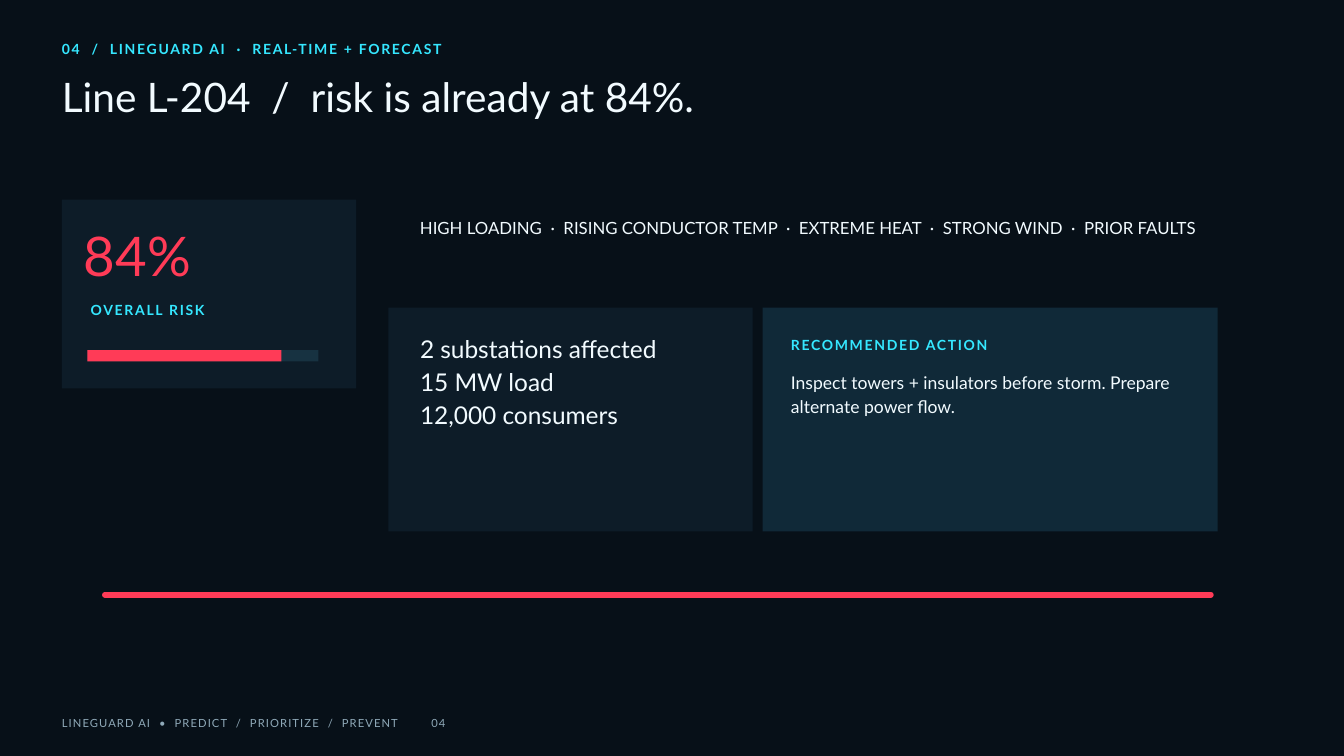
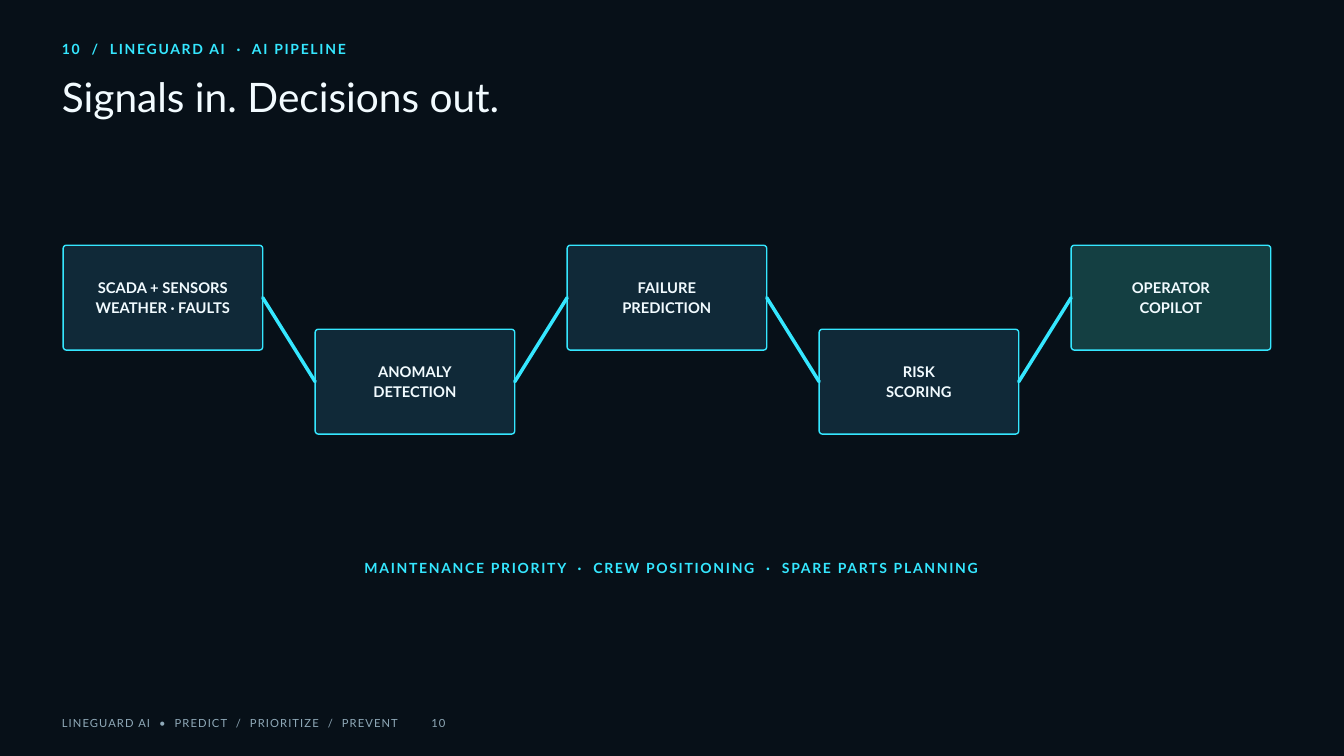
from dataclasses import dataclass

import pptx
import pptx.dml.color
import pptx.enum.shapes
import pptx.enum.text
import pptx.oxml
import pptx.oxml.ns
import pptx.util
from pptx.util import Inches

SHAPE = pptx.enum.shapes.MSO_SHAPE
ALIGN = pptx.enum.text.PP_ALIGN
ANCHOR = pptx.enum.text.MSO_ANCHOR


@dataclass(frozen=True)
class Style:
    """Type style: size and line height in points, tracking in points."""
    size: float
    leading: float
    color: str
    bold: bool = False
    tracking: float = 0


class Theme:
    font = "Lato"
    background, panel, panel_accent = "071018", "0D1C28", "102938"
    track, outcome = "173241", "143F42"
    cyan, red, white, muted = "35E7FF", "FF3B57", "F2FBFF", "8FA9B8"

    label = Style(15, 21, cyan, bold=True, tracking=1.8)
    title = Style(43.5, 46.1, white)
    risk_value = Style(58.5, 58.5, red)
    factors = Style(18, 27, white)
    impact = Style(26.2, 35.4, white)
    action = Style(18.8, 25.3, white)
    step = Style(15.8, 22, white, bold=True)
    footer = Style(12, 16.8, muted, tracking=1.2)


@dataclass(frozen=True)
class Box:
    """Area in inches; inner() gives an area relative to its top left corner."""
    left: float
    top: float
    width: float
    height: float

    def inner(self, left, top, width, height):
        return Box(self.left + left, self.top + top, width, height)

    def lengths(self):
        return [Inches(v) for v in (self.left, self.top, self.width, self.height)]


PRODUCT = "LINEGUARD AI"
MARGIN = 0.92


# Shared helpers
def rgb(value):
    return pptx.dml.color.RGBColor.from_string(value)


def add_paragraph_property(paragraph, xml):
    namespace = pptx.oxml.ns.nsdecls("a")
    element = pptx.oxml.parse_xml(xml.replace("/>", f" {namespace}/>", 1)
                                  if xml.endswith("/>") and xml.count("<") == 1
                                  else xml.replace(">", f" {namespace}>", 1))
    paragraph._p.get_or_add_pPr().append(element)


def write(frame, text, style, align=ALIGN.LEFT, anchor=ANCHOR.TOP, insets=(0, 0, 0, 0)):
    frame.text = text
    frame.word_wrap = True
    frame.auto_size = pptx.enum.text.MSO_AUTO_SIZE.NONE
    frame.vertical_anchor = anchor
    (frame.margin_left, frame.margin_top,
     frame.margin_right, frame.margin_bottom) = [Inches(v) for v in insets]
    for paragraph in frame.paragraphs:
        paragraph.alignment = align
        paragraph.line_spacing = pptx.util.Pt(style.leading)
        paragraph.space_before = pptx.util.Pt(0)
        for run in paragraph.runs:
            run.font.name = Theme.font
            run.font.size = pptx.util.Pt(style.size)
            run.font.bold = style.bold
            run.font.color.rgb = rgb(style.color)
            if style.tracking:
                run._r.get_or_add_rPr().set("spc", str(round(style.tracking * 100)))


def add_text(slide, box, text, style, align=ALIGN.LEFT):
    frame = slide.shapes.add_textbox(*box.lengths()).text_frame
    write(frame, text, style, align)
    return frame


def fill_placeholder(placeholder, box, text, style):
    (placeholder.left, placeholder.top,
     placeholder.width, placeholder.height) = box.lengths()
    write(placeholder.text_frame, text, style)


def add_block(slide, box, fill, kind=SHAPE.RECTANGLE):
    block = slide.shapes.add_shape(kind, *box.lengths())
    block.shadow.inherit = False
    block.fill.solid()
    block.fill.fore_color.rgb = rgb(fill)
    block.line.fill.background()
    return block


def add_line(slide, start, end, color, weight):
    line = slide.shapes.add_connector(
        pptx.enum.shapes.MSO_CONNECTOR.STRAIGHT,
        *[Inches(v) for v in (*start, *end)])
    line.line.color.rgb = rgb(color)
    line.line.width = pptx.util.Pt(weight)
    line.line._get_or_add_ln().set("cap", "rnd")
    line._element.spPr.append(
        pptx.oxml.parse_xml(f"<a:effectLst {pptx.oxml.ns.nsdecls('a')}/>"))
    return line


# Slide frame: header and footer
def add_header(slide, box, number, topic, headline):
    add_text(slide, box.inner(0, 0, 10.94, 0.29),
             f"{number}  /  {PRODUCT}  ·  {topic}", Theme.label)
    fill_placeholder(slide.shapes.title, box.inner(0, 0.59, 15.62, 0.67),
                     headline, Theme.title)


def add_footer(slide, box, number):
    frame = add_text(slide, box, "", Theme.footer)
    add_paragraph_property(
        frame.paragraphs[0],
        f'<a:tabLst><a:tab pos="{Inches(7.3)}" algn="l"/></a:tabLst>')
    write(frame, f"{PRODUCT}  •  PREDICT  /  PRIORITIZE  /  PREVENT\t{number}",
          Theme.footer)


def new_slide(deck, layout, number, topic, headline):
    slide = deck.slides.add_slide(deck.slide_layouts.get_by_name(layout))
    add_header(slide, Box(MARGIN, 0.56, 15.62, 1.26), number, topic, headline)
    add_footer(slide, Box(MARGIN, 10.62, 18.17, 0.23), number)
    return slide


# Risk slide regions
def add_risk_card(slide, box, percent):
    add_block(slide, box, Theme.panel)
    add_text(slide, box.inner(0.33, 0.5, 3.9, 0.89), f"{percent}%", Theme.risk_value)
    add_text(slide, box.inner(0.43, 1.48, 3.75, 0.28), "OVERALL RISK", Theme.label)
    gauge = box.inner(0.38, 2.24, 3.44, 0.17)
    add_block(slide, gauge, Theme.track)
    add_block(slide, gauge.inner(0, 0, gauge.width * percent / 100, gauge.height),
              Theme.red)


def add_impact_panel(slide, box, impacts):
    # The list placeholder goes in front of its panel
    panel = add_block(slide, box, Theme.panel)
    impact_list = slide.placeholders[1]
    panel._element.addnext(impact_list._element)
    fill_placeholder(impact_list, box.inner(0.47, 0.33, 4.58, 1.45),
                     "\n".join(impacts), Theme.impact)
    for paragraph in impact_list.text_frame.paragraphs:
        properties = paragraph._p.get_or_add_pPr()
        properties.set("marL", "0")
        properties.set("indent", "0")
        add_paragraph_property(paragraph, "<a:buNone/>")


def add_action_panel(slide, box, action):
    add_block(slide, box, Theme.panel_accent)
    add_text(slide, box.inner(0.42, 0.39, 5.21, 0.28), "RECOMMENDED ACTION", Theme.label)
    add_text(slide, box.inner(0.42, 0.92, 5.94, 0.67), action, Theme.action)


def build_risk_slide(deck):
    slide = new_slide(deck, "Title and Content", "04", "REAL-TIME + FORECAST",
                      "Line L-204  /  risk is already at 84%.")
    add_risk_card(slide, Box(MARGIN, 2.97, 4.38, 2.81), 84)
    factors = ("HIGH LOADING", "RISING CONDUCTOR TEMP", "EXTREME HEAT",
               "STRONG WIND", "PRIOR FAULTS")
    add_text(slide, Box(6.25, 3.17, 11.77, 0.36), "  ·  ".join(factors), Theme.factors)
    add_impact_panel(slide, Box(5.78, 4.58, 5.42, 3.33),
                     ("2 substations affected", "15 MW load", "12,000 consumers"))
    add_action_panel(slide, Box(11.35, 4.58, 6.77, 3.33),
                     "Inspect towers + insulators before storm. "
                     "Prepare alternate power flow.")
    add_line(slide, (1.56, 8.85), (18.02, 8.85), Theme.red, 6)


# Pipeline slide regions
def add_step(slide, box, text, fill):
    step = add_block(slide, box, fill, SHAPE.ROUNDED_RECTANGLE)
    step.adjustments[0] = 0.03
    step.line.color.rgb = rgb(Theme.cyan)
    step.line.width = pptx.util.Pt(1.5)
    write(step.text_frame, text, Theme.step, ALIGN.CENTER, ANCHOR.MIDDLE,
          (0.06, 0.06, 0.06, 0.11))
    return step


def add_pipeline(slide, box, labels):
    """Equal steps across the box, alternating between its top and bottom."""
    width, height = 2.97, 1.56
    pitch = (box.width - width) / (len(labels) - 1)
    drop = box.height - height
    right_site, left_site = 3, 1
    previous = None
    for index, label in enumerate(labels):
        is_last = index == len(labels) - 1
        step = add_step(slide, box.inner(index * pitch, index % 2 * drop, width, height),
                        label, Theme.outcome if is_last else Theme.panel_accent)
        if previous:
            link = add_line(slide, (0, 0), (1, 1), Theme.cyan, 3.75)
            link.begin_connect(previous, right_site)
            link.end_connect(step, left_site)
        previous = step


def build_pipeline_slide(deck):
    slide = new_slide(deck, "Title Only", "10", "AI PIPELINE",
                      "Signals in. Decisions out.")
    add_pipeline(slide, Box(0.94, 3.65, 17.97, 2.81),
                 ("SCADA + SENSORS\nWEATHER · FAULTS", "ANOMALY\nDETECTION",
                  "FAILURE\nPREDICTION", "RISK\nSCORING", "OPERATOR\nCOPILOT"))
    add_text(slide, Box(3.12, 8.29, 13.75, 0.29),
             "MAINTENANCE PRIORITY  ·  CREW POSITIONING  ·  SPARE PARTS PLANNING",
             Theme.label, ALIGN.CENTER)


def main():
    deck = pptx.Presentation()
    deck.slide_width, deck.slide_height = Inches(20), Inches(11.25)
    backdrop = deck.slide_master.background.fill
    backdrop.solid()
    backdrop.fore_color.rgb = rgb(Theme.background)
    build_risk_slide(deck)
    build_pipeline_slide(deck)
    deck.save("out.pptx")


if __name__ == "__main__":
    main()
